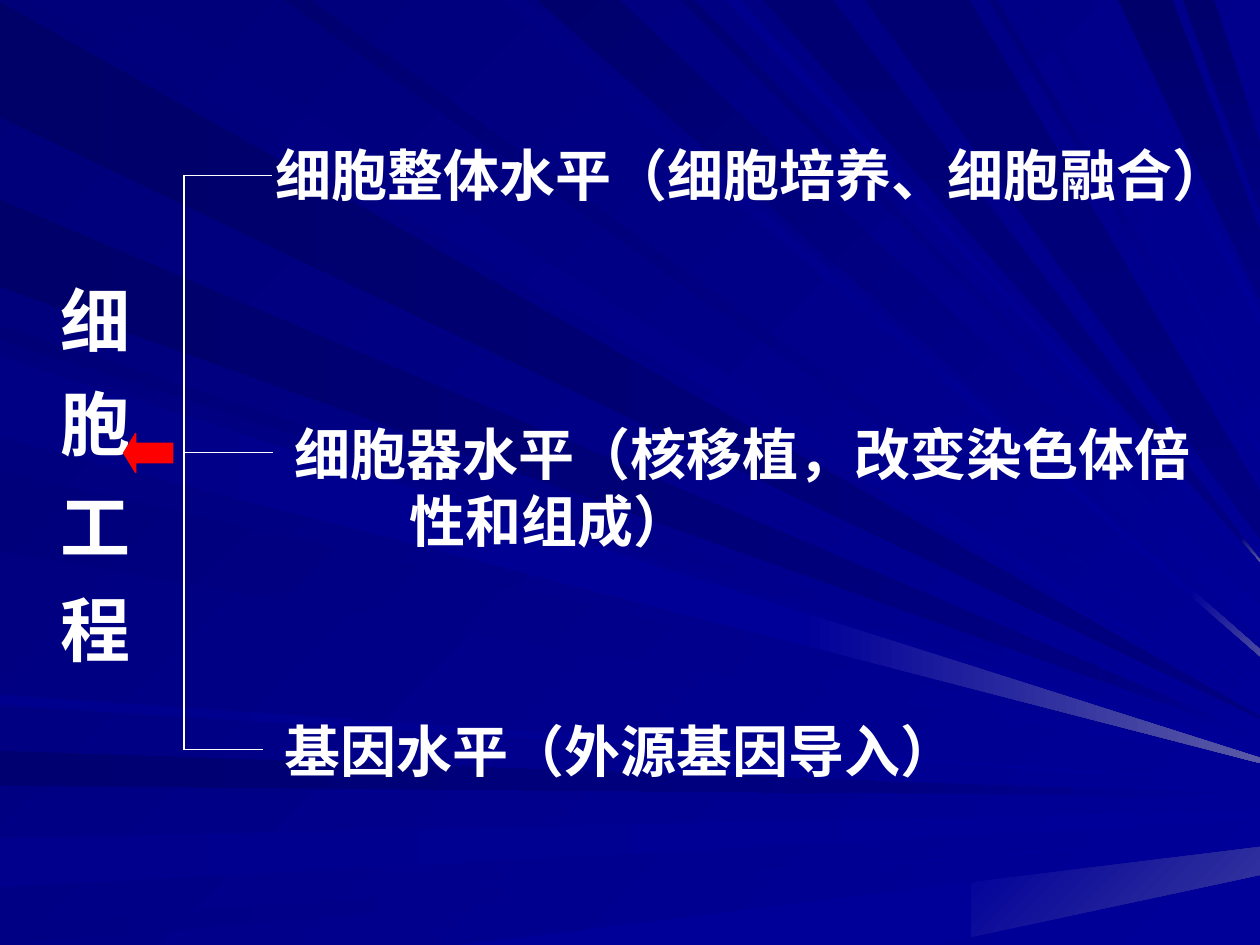
import enum
from dataclasses import dataclass

import pptx
import pptx.dml.color
import pptx.enum.shapes
import pptx.enum.text
import pptx.oxml
import pptx.oxml.ns
import pptx.util
from lxml import etree

Pt = pptx.util.Pt
Point = tuple[float, float]
WIDTH, HEIGHT = 720, 540
TRUNK_X = 105.1


class Side(enum.Enum):
    LEFT = "left"
    TOP = "top"
    BOTTOM = "bottom"


class Direction(enum.Enum):
    ACROSS = 0
    DIAGONAL = 45
    DOWN = 90


@dataclass(frozen=True)
class Theme:
    background: tuple[str, str] = ("000078", "000099")
    ray_dark: str = "000080"
    ray_bright: str = "000099"
    text: str = "FFFFFF"
    arrow: str = "FF0000"
    east_asian_font: str = "Noto Sans CJK SC"
    label_font: str = "Times New Roman"
    label_size: float = 40
    level_size: float = 32
    line_width: float = 0.75


THEME = Theme()


@dataclass(frozen=True)
class Ray:
    side: Side
    near: Point
    tip: float
    color: str
    end_color: str = THEME.ray_bright
    direction: Direction = Direction.DIAGONAL
    tip_width: float = 1
    split: float = WIDTH
    tip_color: str = ""


@dataclass(frozen=True)
class Level:
    text: str
    box: tuple[float, float, float, float]
    branch_y: float
    branch_end: float
    hanging: float = 0


LEFT, TOP, BOTTOM = Side.LEFT, Side.TOP, Side.BOTTOM
ACROSS, DOWN = Direction.ACROSS, Direction.DOWN
DARK, BRIGHT = THEME.ray_dark, THEME.ray_bright

RAYS = (
    Ray(LEFT, (1, 67), 409.5, "000069", DARK, ACROSS),
    Ray(TOP, (19, 73), 404.5, "00007B"),
    Ray(LEFT, (429, 449), 454, "000071", DARK, ACROSS, split=505, tip_color=BRIGHT),
    Ray(LEFT, (479, 507), 463, "00008C", direction=ACROSS, tip_width=6),
    Ray(LEFT, (529, 540), 476, "000085", direction=ACROSS),
    Ray(BOTTOM, (262, 534), 484, BRIGHT, tip_width=16, split=555, tip_color="39399E"),
    Ray(LEFT, (186, 194), 423.5, "000076"),
    Ray(LEFT, (114, 164), 420.5, "00006B", DARK, ACROSS, split=629, tip_color=BRIGHT),
    Ray(TOP, (287, 300), 371, "000083", tip_width=4, split=681, tip_color="4A4AA1"),
    Ray(TOP, (307, 354), 345, "00006D", tip_width=20),
    Ray(TOP, (389, 397), 333, "000073"),
    Ray(TOP, (436, 476), 320, "000073", DARK, DOWN, split=710, tip_color="5A5AA6"),
    Ray(TOP, (639, 670), 132, "00006B", DARK, DOWN, 39),
    Ray(TOP, (676, 694), 82, "00006D", DARK, DOWN, 38),
    Ray(LEFT, (200, 246), 429, "00007E", tip_width=4),
    Ray(LEFT, (269, 315), 435.5, "00007B"),
    Ray(LEFT, (397, 403), 447, "00008E", direction=ACROSS),
    Ray(TOP, (162, 178), 394, "000070", tip_width=3),
    Ray(TOP, (415, 423), 326, "00008E"),
    Ray(TOP, (494, 554), 281, "000073", DARK, DOWN, 27),
    Ray(TOP, (565, 570), 255, "000078", tip_width=4),
    Ray(TOP, (587, 593), 241, "000085"),
    Ray(TOP, (623, 628), 179, "00008A", tip_width=6),
    Ray(LEFT, (204, 250), 433, "000085", direction=ACROSS, tip_width=3, split=457, tip_color="5A5AA6"),
)

LEVELS = (
    Level("细胞整体水平（细胞培养、细胞融合）", (150.5, 77, 569.5, 45.4), 100.1, 155.5),
    Level("细胞器水平（核移植，改变染色体倍性和组成）", (161.3, 236.2, 532.8, 84.2), 258.5, 156.2, 65.7),
    Level("基因水平（外源基因导入）", (155.5, 406.1, 442.1, 45.4), 428.4, 150.5),
)


def rgb(color: str) -> pptx.dml.color.RGBColor:
    return pptx.dml.color.RGBColor.from_string(color)


def apply_gradient(fill, colors: tuple[str, str], angle: int) -> None:
    fill.gradient()
    fill.gradient_angle = (360 - angle) % 360
    for position, (stop, color) in enumerate(zip(fill.gradient_stops, colors)):
        stop.position = position
        stop.color.rgb = rgb(color)


def draw_polygon(group, corners: list[Point], colors: tuple[str, str], direction: Direction) -> None:
    points = [(Pt(x), Pt(y)) for x, y in corners]
    builder = group.shapes.build_freeform(*points[0], scale=1.0)
    builder.add_line_segments(points[1:], close=True)
    shape = builder.convert_to_shape()
    shape.shadow.inherit = False
    shape.line.fill.background()
    apply_gradient(shape.fill, colors, direction.value)


def point_at(start: Point, end: Point, x: float) -> Point:
    share = (x - start[0]) / (end[0] - start[0])
    return x, start[1] + share * (end[1] - start[1])


def draw_ray(group, ray: Ray) -> None:
    if ray.side is LEFT:
        first, second = [(0, y) for y in ray.near]
    else:
        edge_y = 0 if ray.side is TOP else HEIGHT
        first, second = [(x, edge_y) for x in ray.near]
    upper, lower = (WIDTH, ray.tip), (WIDTH, ray.tip + ray.tip_width)
    if ray.side is TOP:
        upper, lower = lower, upper
    first_cut = point_at(first, upper, ray.split)
    second_cut = point_at(second, lower, ray.split)
    draw_polygon(group, [first, first_cut, second_cut, second], (ray.color, ray.end_color), ray.direction)
    if ray.tip_color:
        draw_polygon(group, [first_cut, upper, lower, second_cut], (ray.end_color, ray.tip_color), ray.direction)


def draw_line(slide, start: Point, end: Point) -> None:
    connector = slide.shapes.add_connector(
        pptx.enum.shapes.MSO_CONNECTOR.STRAIGHT, *(Pt(value) for value in start + end)
    )
    connector.line.color.rgb = rgb(THEME.text)
    connector.line.width = Pt(THEME.line_width)
    etree.SubElement(connector._element.spPr, pptx.oxml.ns.qn("a:effectLst"))


def add_text(slide, text: str, *, box: tuple[float, float, float, float], size: float, font: str,
             hanging: float = 0, vertical: bool = False, spacing: float = 0) -> None:
    shape = slide.shapes.add_textbox(*(Pt(value) for value in box))
    frame = shape.text_frame
    frame.word_wrap = True
    if vertical:
        frame._txBody.bodyPr.set("vert", "eaVert")
    paragraph = frame.paragraphs[0]
    if hanging:
        properties = paragraph._p.get_or_add_pPr()
        properties.set("marL", str(Pt(hanging)))
        properties.set("indent", str(-Pt(hanging)))
    run = paragraph.add_run()
    run.text = text
    run.font.name = font
    run.font.size = Pt(size)
    run.font.bold = True
    run.font.color.rgb = rgb(THEME.text)
    run_properties = run._r.get_or_add_rPr()
    if spacing:
        run_properties.set("spc", str(round(spacing * 100)))
    east_asian = etree.SubElement(run_properties, pptx.oxml.ns.qn("a:ea"))
    east_asian.set("typeface", THEME.east_asian_font)


def draw_arrow(slide) -> None:
    arrow = slide.shapes.add_shape(
        pptx.enum.shapes.MSO_SHAPE.LEFT_ARROW, Pt(70.6), Pt(247.7), Pt(28.1), Pt(22.3)
    )
    arrow.adjustments[1] = 0.31
    arrow.shadow.inherit = False
    arrow.fill.solid()
    arrow.fill.fore_color.rgb = rgb(THEME.arrow)
    arrow.line.color.rgb = rgb(THEME.arrow)
    arrow.line.width = Pt(THEME.line_width)


def main() -> None:
    presentation = pptx.Presentation()
    presentation.slide_width, presentation.slide_height = Pt(WIDTH), Pt(HEIGHT)
    slide = presentation.slides.add_slide(presentation.slide_layouts[6])
    apply_gradient(slide.background.fill, THEME.background, Direction.DIAGONAL.value)
    rays = slide.shapes.add_group_shape()
    for ray in RAYS:
        draw_ray(rays, ray)
    add_text(slide, "细胞工程", box=(18, 156.2, 62.6, 283.7), size=THEME.label_size,
             font=THEME.label_font, vertical=True, spacing=19)
    draw_line(slide, (TRUNK_X, LEVELS[0].branch_y), (TRUNK_X, LEVELS[-1].branch_y))
    for level in LEVELS:
        draw_line(slide, (TRUNK_X, level.branch_y), (level.branch_end, level.branch_y))
        add_text(slide, level.text, box=level.box, size=THEME.level_size,
                 font=THEME.east_asian_font, hanging=level.hanging)
    draw_arrow(slide)
    presentation.save("out.pptx")


if __name__ == "__main__":
    main()
